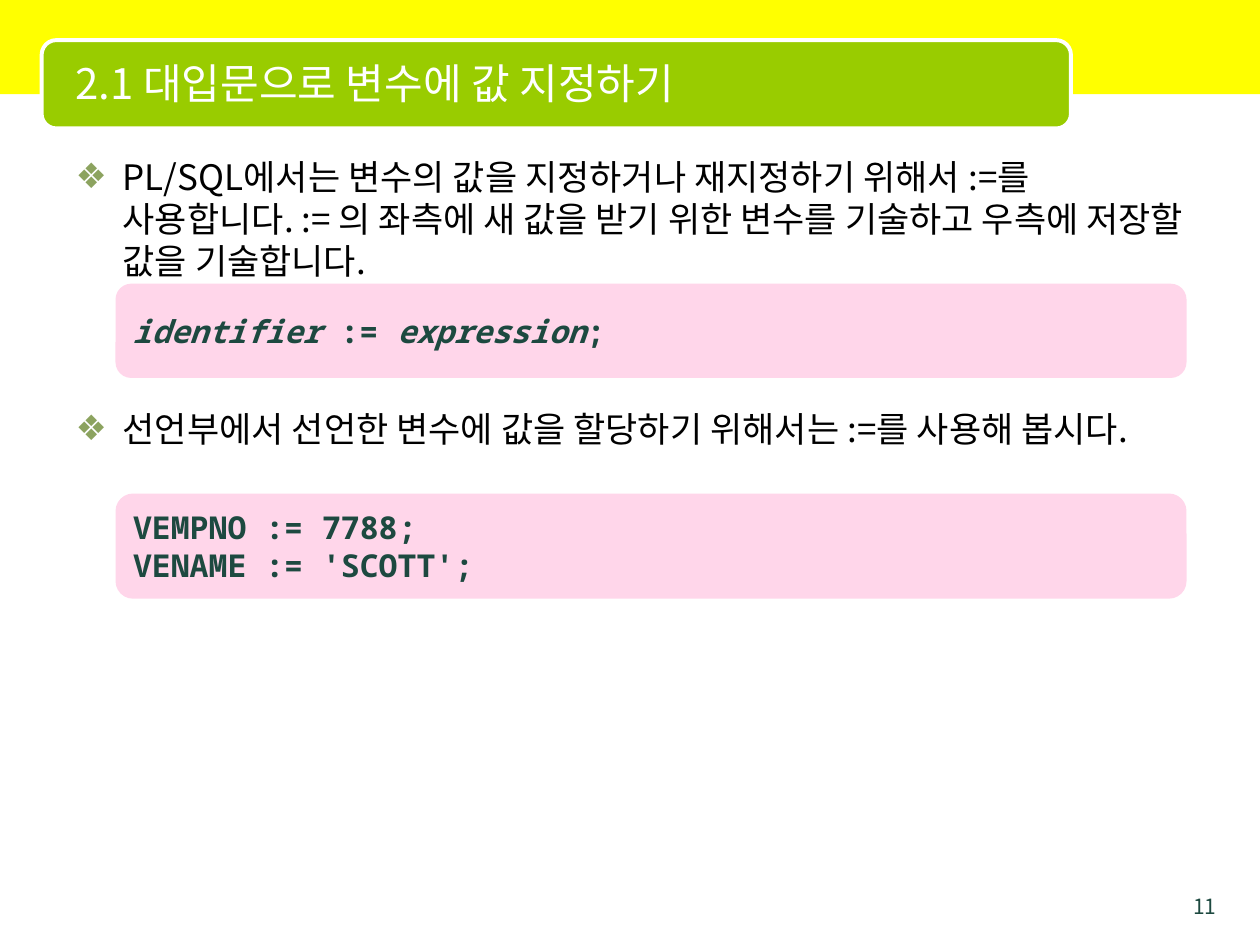
import pptx
import pptx.util
import pptx.dml.color
import pptx.enum.shapes
import pptx.enum.text
import pptx.oxml.ns
import lxml.etree

Cm = pptx.util.Cm
Pt = pptx.util.Pt
RGBColor = pptx.dml.color.RGBColor
KIND = pptx.enum.shapes.MSO_SHAPE
ALIGN = pptx.enum.text.PP_ALIGN
ANCHOR = pptx.enum.text.MSO_ANCHOR
FIT = pptx.enum.text.MSO_AUTO_SIZE
qn = pptx.oxml.ns.qn

YELLOW = RGBColor(0xFF, 0xFF, 0x00)
LIME = RGBColor(0x99, 0xCC, 0x00)
WHITE = RGBColor(0xFF, 0xFF, 0xFF)
BLACK = RGBColor(0x00, 0x00, 0x00)
GREEN = RGBColor(0x1D, 0x49, 0x40)
OLIVE = RGBColor(0x8C, 0xA3, 0x5F)
PINK = RGBColor(0xFF, 0x99, 0xCC)
SANS = "Noto Sans CJK KR"
MONO = "Noto Sans Mono"


def add_run(para, text, face, size, color, bold=False, slant=False):
    run = para.add_run()
    run.text = text
    font = run.font
    font.name = face
    font.size = Pt(size)
    font.bold = bold
    font.italic = slant
    font.color.rgb = color
    lxml.etree.SubElement(run._r.rPr, qn("a:ea"), typeface=face)


def add_block(kind, left, top, width, height, color):
    block = slide.shapes.add_shape(kind, Cm(left), Cm(top), Cm(width), Cm(height))
    block.shadow.inherit = False
    block.fill.solid()
    block.fill.fore_color.rgb = color
    block.line.fill.background()
    return block


deck = pptx.Presentation()
deck.slide_width = Cm(25.4)
deck.slide_height = Cm(19.05)
slide = deck.slides.add_slide(deck.slide_layouts[1])
title, body = slide.placeholders

band = add_block(KIND.RECTANGLE, 0, 0, 25.4, 1.9, YELLOW)
plate = add_block(KIND.ROUNDED_RECTANGLE, 0.84, 0.81, 20.75, 1.78, LIME)
plate.line.color.rgb = WHITE
plate.line.width = Pt(2.25)
for back in (plate, band):
    slide.shapes._spTree.insert(2, back._element)

title.left, title.top, title.width, title.height = Cm(1.27), Cm(0.89), Cm(20.12), Cm(1.57)
frame = title.text_frame
frame.auto_size = FIT.NONE
frame.vertical_anchor = ANCHOR.MIDDLE
frame.paragraphs[0].alignment = ALIGN.LEFT
add_run(frame.paragraphs[0], "2.1 대입문으로 변수에 값 지정하기", SANS, 24, WHITE)

body.left, body.top, body.width, body.height = Cm(1.27), Cm(3), Cm(22.86), Cm(15.6)
frame = body.text_frame
frame.auto_size = FIT.NONE
points = [
    (0, "PL/SQL에서는 변수의 값을 지정하거나 재지정하기 위해서 :=를 사용합니다. "
        ":= 의 좌측에 새 값을 받기 위한 변수를 기술하고 우측에 저장할 값을 기술합니다."),
    (72, "선언부에서 선언한 변수에 값을 할당하기 위해서는 :=를 사용해 봅시다."),
]
for i, (gap, text) in enumerate(points):
    para = frame.add_paragraph() if i else frame.paragraphs[0]
    para.line_spacing = Pt(24)
    para.space_before = Pt(gap)
    add_run(para, text, SANS, 20, BLACK)
    props = para._p.get_or_add_pPr()
    props.set("marL", str(Cm(0.95)))
    props.set("indent", str(Cm(-0.95)))
    tint = lxml.etree.SubElement(props, qn("a:buClr"))
    lxml.etree.SubElement(tint, qn("a:srgbClr"), val=str(OLIVE))
    lxml.etree.SubElement(props, qn("a:buChar"), char="❖")

codes = [
    (5.72, 1.9, [[("identifier", True), (" := ", False), ("expression", True), (";", False)]]),
    (9.95, 2.12, [[("VEMPNO := 7788;", False)], [("VENAME := 'SCOTT';", False)]]),
]
for top, height, lines in codes:
    box = add_block(KIND.ROUNDED_RECTANGLE, 2.33, top, 21.59, height, PINK)
    shade = box._element.spPr.find(qn("a:solidFill"))[0]
    lxml.etree.SubElement(shade, qn("a:alpha"), val="40000")
    frame = box.text_frame
    frame.word_wrap = False
    frame.vertical_anchor = ANCHOR.MIDDLE
    for i, line in enumerate(lines):
        para = frame.add_paragraph() if i else frame.paragraphs[0]
        para.alignment = ALIGN.LEFT
        para.line_spacing = Pt(21.6)
        for text, slant in line:
            add_run(para, text, MONO, 18, GREEN, True, slant)

page = slide.shapes.add_textbox(Cm(23.5), Cm(17.88), Cm(1.27), Cm(0.53))
frame = page.text_frame
frame.word_wrap = True
para = frame.paragraphs[0]
para.alignment = ALIGN.RIGHT
para.line_spacing = Pt(14.4)
add_run(para, "11", SANS, 12, GREEN)

deck.save("out.pptx")
